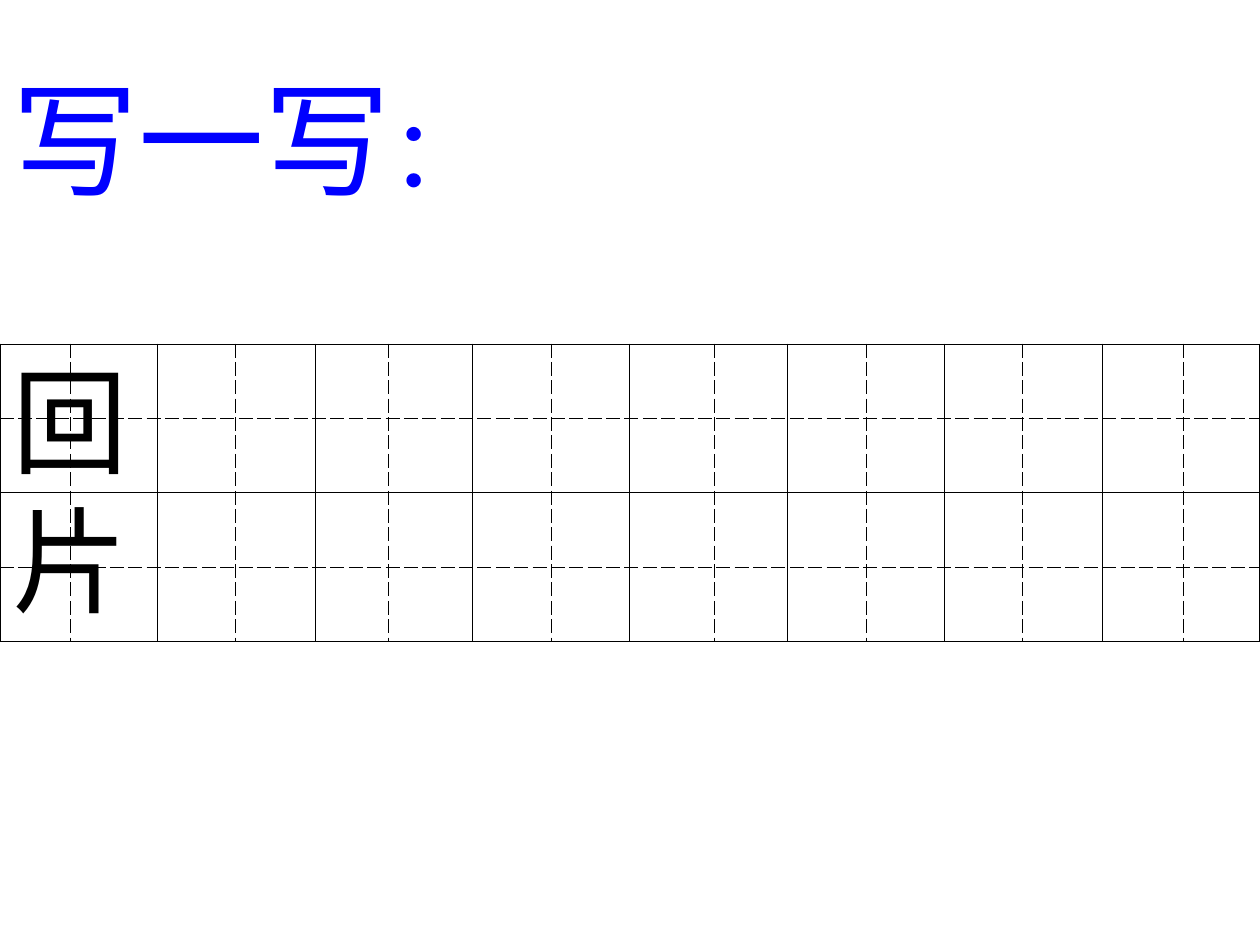
from lxml.etree import SubElement
from pptx import Presentation
from pptx.dml.color import RGBColor
from pptx.enum.lang import MSO_LANGUAGE_ID
from pptx.enum.text import MSO_ANCHOR, MSO_AUTO_SIZE, PP_ALIGN
from pptx.oxml import parse_xml
from pptx.oxml.ns import nsdecls, qn
from pptx.util import Pt

# Content: runs are (text, theme size)
TITLE = [("写一写", "title"), ("：", "colon")]
GLYPHS = [("回", 196.5, 88), ("片", 275.8, 106)]  # character, top, width

# Theme
THEME = {
    "font": "Arial", "ink": "000000", "blue": "0000FF",
    "title": 72, "colon": 54, "glyph": 66, "line": 0.45,
}

# Practice grid: square pitch and the place of each dashed midline
TOP, PITCH, HALF = 196.5, 90, 42.5
MIDS = [40.2, 44.6, 41.8, 45, 48.2, 45.4, 44.6, 46.2]
ROWS = 2 * len(GLYPHS)


def write(frame, runs, color):
    """Fill a frame with one left-aligned line."""
    frame.word_wrap = True
    frame.auto_size = MSO_AUTO_SIZE.NONE
    frame.vertical_anchor = MSO_ANCHOR.TOP
    para = frame.paragraphs[0]
    para.alignment = PP_ALIGN.LEFT
    for text, size in runs:
        run = para.add_run()
        run.text = text
        font = run.font
        font.size = Pt(THEME[size])
        font.name = THEME["font"]
        font.color.rgb = RGBColor.from_string(THEME[color])
        font.language_id = MSO_LANGUAGE_ID.SIMPLIFIED_CHINESE
        SubElement(run._r.get_or_add_rPr(), qn("a:ea"), typeface=THEME["font"])


def rule(cell, sides):
    """Draw the cell borders; sides maps each side to a dash style."""
    props = cell._tc.get_or_add_tcPr()
    for spot, side in enumerate("LRTB"):
        props.insert(spot, parse_xml(
            f'<a:ln{side} {nsdecls("a")} w="{Pt(THEME["line"])}">'
            f'<a:solidFill><a:srgbClr val="{THEME["ink"]}"/></a:solidFill>'
            f'<a:prstDash val="{sides[side]}"/></a:ln{side}>'))


def main():
    deck = Presentation()
    deck.slide_width, deck.slide_height = Pt(720), Pt(540)
    slide = deck.slides.add_slide(deck.slide_layouts[5])

    # Title
    title = slide.shapes.title
    title.left, title.top = Pt(0), Pt(31.7)
    title.width, title.height = Pt(450.7), Pt(93.6)
    write(title.text_frame, TITLE, "blue")

    # Grid: two columns and two rows make one square
    widths = [w for mid in MIDS for w in (mid, PITCH - mid)]
    grid = slide.shapes.add_table(
        ROWS, len(widths), Pt(0), Pt(TOP),
        Pt(sum(widths)), Pt(ROWS * HALF)).table
    grid.first_row = grid.horz_banding = False
    for col, width in zip(grid.columns, widths):
        col.width = Pt(width)
    for r, row in enumerate(grid.rows):
        row.height = Pt(HALF)
        for c, cell in enumerate(row.cells):
            cell.fill.background()
            across = ("solid", "dash") if c % 2 == 0 else ("dash", "solid")
            down = ("solid", "dash") if r % 2 == 0 else ("dash", "solid")
            rule(cell, dict(zip("LRTB", across + down)))

    # Model characters
    for text, top, width in GLYPHS:
        box = slide.shapes.add_textbox(Pt(0), Pt(top), Pt(width), Pt(86.4))
        write(box.text_frame, [(text, "glyph")], "ink")

    deck.save("out.pptx")


if __name__ == "__main__":
    main()
